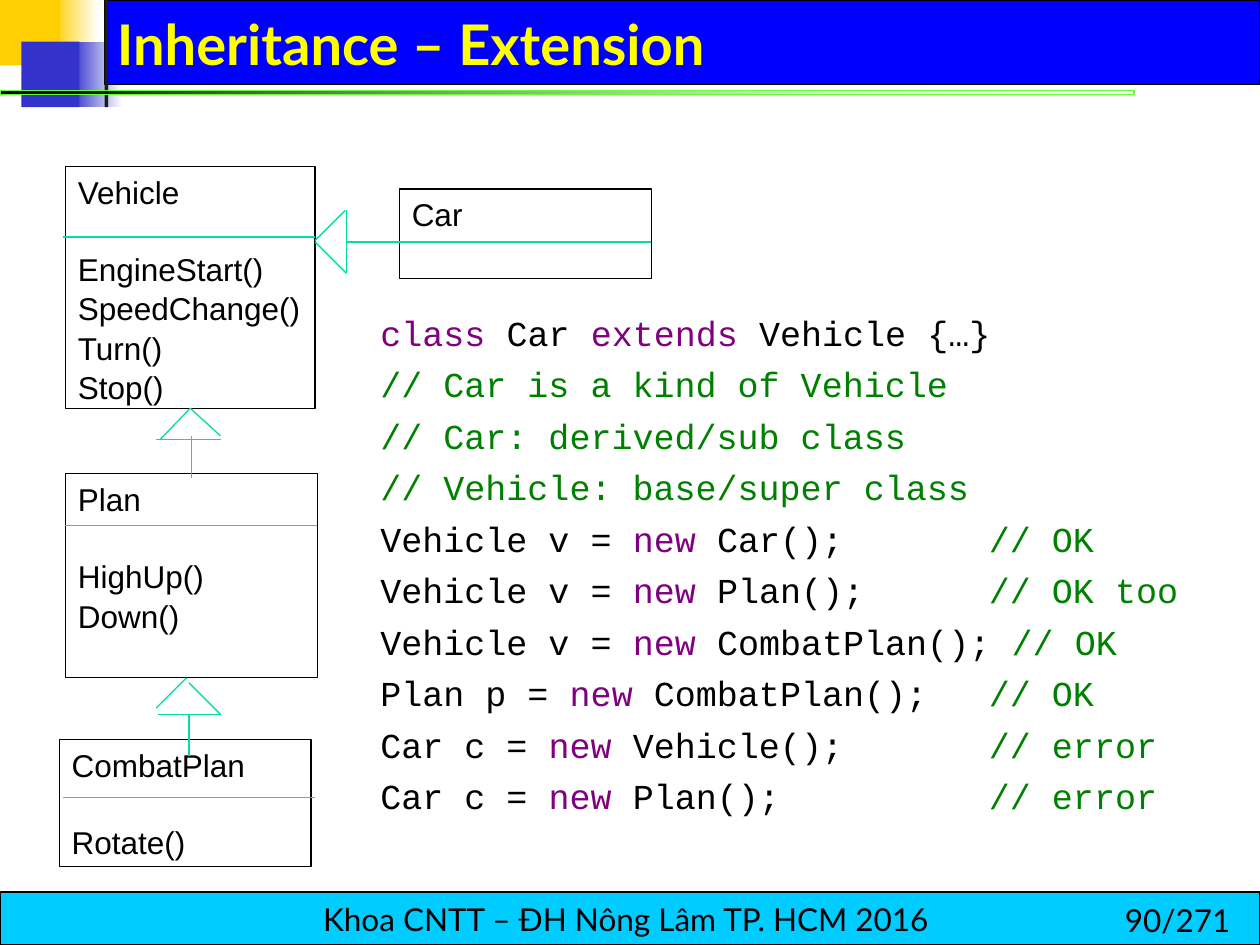
"""Build a slide on class inheritance with a class diagram and sample code."""
from lxml import etree
from pptx import Presentation
from pptx.dml.color import RGBColor
from pptx.enum.shapes import MSO_CONNECTOR, MSO_SHAPE
from pptx.enum.text import MSO_ANCHOR, PP_ALIGN
from pptx.oxml.ns import qn
from pptx.util import Inches, Pt

RECTANGLE = MSO_SHAPE.RECTANGLE
STRAIGHT = MSO_CONNECTOR.STRAIGHT
TOP, MIDDLE, BOTTOM = MSO_ANCHOR.TOP, MSO_ANCHOR.MIDDLE, MSO_ANCHOR.BOTTOM
LEFT, CENTER = PP_ALIGN.LEFT, PP_ALIGN.CENTER
BOTTOM_SITE = 2

BLACK, PURPLE, GREEN, MINT = "000000", "800080", "008000", "00DFA4"

DECORATIONS = [
    ((0.42, 0, 0.36, 0.52), ("FFCF01", "FFFFFF"), None),
    ((0.57, 0.33, 0.4, 0.52), ("3333CC", "FFFFFF"), None),
    ((0.83, 0, 9.17, 0.67), "0000FF", (BLACK, 0.75)),
    ((0, 0, 0.48, 0.52), "FFCF01", None),
    ((0.17, 0.33, 0.46, 0.52), "3333CC", None),
    ((0.83, 0, 0.03, 0.85), "1C1C1C", None),
]
RULE = ((0, 0.72, 9, 0.03), (BLACK, "66FF33"), ("66FF33", 0))
FOOTER = ((0, 7.08, 10, 0.42), "00CCFF", (BLACK, 0.75))
FOOTER_TEXT = "Khoa CNTT – ĐH Nông Lâm TP. HCM 2016 "
PAGE_NUMBER = "90/271"
TITLE = "Inheritance – Extension"

CLASSES = [
    ("Vehicle", (0.52, 1.32, 1.98, 1.92),
     ["EngineStart()", "SpeedChange()", "Turn()", "Stop()"]),
    ("Car", (3.17, 1.5, 2, 0.71), []),
    ("Plan", (0.52, 3.76, 2, 1.62), ["HighUp()", "Down()"]),
    ("CombatPlan", (0.47, 5.87, 2, 1.01), ["Rotate()"]),
]
DIVIDERS = [
    (0.5, 1.88, 2.5, 1.88),
    (0.52, 4.17, 2.52, 4.17),
    (0.5, 6.33, 2.5, 6.33),
]
CAR_ARROW = [
    (2.75, 1.92, 5.17, 1.92),
    (2.5, 1.92, 2.75, 2.17),
    (2.75, 1.67, 2.75, 2.17),
    (2.5, 1.91, 2.74, 1.67),
]
PLAN_ARROW_SIDES = [
    (1.51, 3.24, 1.75, 3.46),
    (1.51, 3.24, 1.27, 3.49),
]
PLAN_ARROW = [
    (1.75, 3.49, 1.24, 3.49),
    (1.52, 3.46, 1.52, 3.79),
]
COMBAT_ARROW = [
    (1.5, 5.42, 1.75, 5.67),
    (1.75, 5.67, 1.25, 5.67),
    (1.24, 5.62, 1.48, 5.38),
    (1.5, 5.67, 1.5, 6),
]

CODE = [
    [("class", PURPLE), (" Car ", BLACK), ("extends", PURPLE), (" Vehicle {…}", BLACK)],
    [("// Car is a kind of Vehicle", GREEN)],
    [("// Car: derived/sub class", GREEN)],
    [("// Vehicle: base/super class", GREEN)],
]
ASSIGNMENTS = [
    ("Vehicle v", " Car();\t", "// OK"),
    ("Vehicle v", " Plan();\t", "// OK too"),
    ("Vehicle v", " CombatPlan(); ", "// OK"),
    ("Plan p", " CombatPlan();\t", "// OK"),
    ("Car c", " Vehicle();\t", "// error"),
    ("Car c", " Plan();\t", "// error"),
]
CODE += [
    [(f"{name} = ", BLACK), ("new", PURPLE), (call, BLACK), (remark, GREEN)]
    for name, call, remark in ASSIGNMENTS
]
COMMENT_TAB = 4.83


def color(value):
    return RGBColor.from_string(value)


def add_box(page, place, fill=None, line=None):
    box = page.shapes.add_shape(RECTANGLE, *map(Inches, place))
    box.shadow.inherit = False
    if isinstance(fill, tuple):
        box.fill.gradient()
        box.fill.gradient_angle = 0
        for stop, value, position in zip(box.fill.gradient_stops, fill, (0, 1)):
            stop.color.rgb = color(value)
            stop.position = position
    elif fill:
        box.fill.solid()
        box.fill.fore_color.rgb = color(fill)
    else:
        box.fill.background()
    if line:
        box.line.color.rgb = color(line[0])
        box.line.width = Pt(line[1])
    else:
        box.line.fill.background()
    return box


def add_line(page, ends):
    line = page.shapes.add_connector(STRAIGHT, *map(Inches, ends))
    line.line.color.rgb = color(MINT)
    line.line.width = Pt(0.75)
    etree.SubElement(line._element.spPr, qn("a:effectLst"))
    return line


def style(para, font, size, value=None, bold=None, align=LEFT):
    para.alignment = align
    para.font.name = font
    para.font.size = Pt(size)
    para.font.bold = bold
    if value:
        para.font.color.rgb = color(value)


def add_text(page, place, anchor=TOP):
    frame = page.shapes.add_textbox(*map(Inches, place)).text_frame
    frame.word_wrap = True
    frame.vertical_anchor = anchor
    return frame


def next_para(frame, index):
    return frame.add_paragraph() if index else frame.paragraphs[0]


def add_class(page, name, place, members):
    box = add_box(page, place, line=(BLACK, 0.75))
    frame = box.text_frame
    frame.word_wrap = name != "Vehicle"
    frame.vertical_anchor = TOP
    for index, text in enumerate([name] + members):
        para = next_para(frame, index)
        para.text = text
        style(para, "Arial", 18, BLACK)
        if index:
            para.space_before = Pt(22.6 if index == 1 else 1)
    return box


def add_code(page):
    frame = add_text(page, (2.92, 2.42, 6.58, 4.75))
    frame.word_wrap = False
    for index, spans in enumerate(CODE):
        para = next_para(frame, index)
        style(para, "Courier New", 20)
        para.space_before = Pt(5.4)
        tabs = etree.Element(qn("a:tabLst"))
        etree.SubElement(tabs, qn("a:tab"), pos=str(Inches(COMMENT_TAB)), algn="l")
        para._p.pPr.find(qn("a:defRPr")).addprevious(tabs)
        for text, value in spans:
            span = para.add_run()
            span.text = text
            span.font.name = "Courier New"
            span.font.size = Pt(20)
            span.font.color.rgb = color(value)


def main():
    deck = Presentation()
    deck.slide_width, deck.slide_height = Inches(10), Inches(7.5)
    page = deck.slides.add_slide(deck.slide_layouts[6])

    for decoration in DECORATIONS:
        add_box(page, *decoration)
    rule = add_box(page, *RULE)
    last_color = rule._element.spPr.findall(".//" + qn("a:gs"))[-1][0]
    etree.SubElement(last_color, qn("a:alpha"), val="0")

    footer = add_box(page, *FOOTER).text_frame
    footer.word_wrap = False
    footer.vertical_anchor = MIDDLE
    labels = [
        (footer, FOOTER_TEXT, 18, BLACK, None, CENTER),
        (add_text(page, (8.83, 7.1, 1.17, 0.4)), PAGE_NUMBER, 18, BLACK, None, LEFT),
        (add_text(page, (0.83, 0.08, 8.94, 0.58), BOTTOM), TITLE, 32, "FFFF00", True, LEFT),
    ]
    for frame, text, size, value, bold, align in labels:
        frame.text = text
        style(frame.paragraphs[0], "Lato", size, value, bold, align)

    add_code(page)
    boxes = {entry[0]: add_class(page, *entry) for entry in CLASSES}
    for ends in DIVIDERS + CAR_ARROW + PLAN_ARROW + COMBAT_ARROW:
        add_line(page, ends)
    for ends in PLAN_ARROW_SIDES:
        add_line(page, ends).begin_connect(boxes["Vehicle"], BOTTOM_SITE)
    deck.save("out.pptx")


if __name__ == "__main__":
    main()
